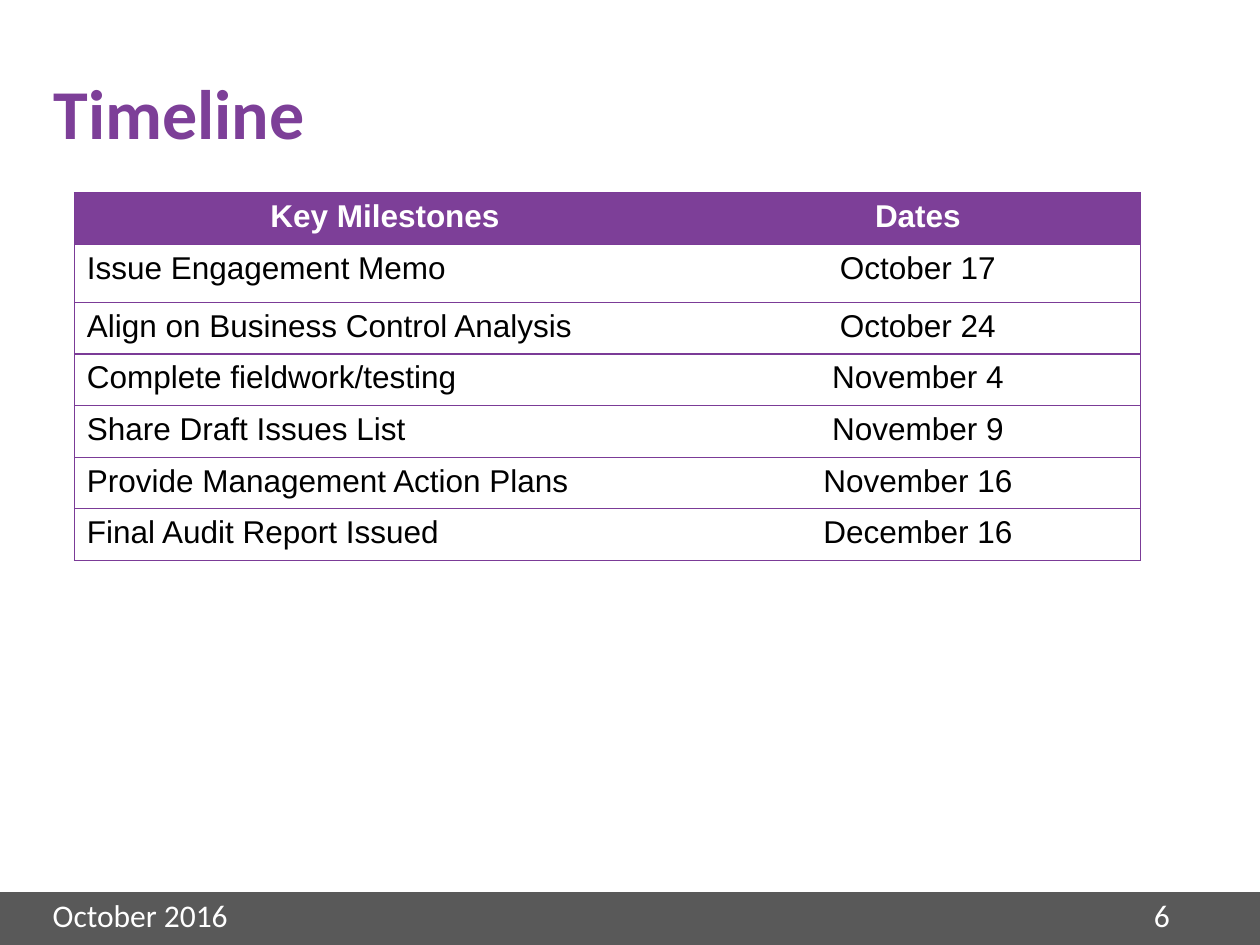
from dataclasses import dataclass
from lxml.etree import SubElement
from pptx import Presentation
from pptx.dml.color import RGBColor as Rgb
from pptx.enum.shapes import MSO_SHAPE as Shape
from pptx.enum.text import MSO_ANCHOR as Anchor, PP_ALIGN as Align
from pptx.oxml.ns import qn
from pptx.util import Inches, Pt


@dataclass(frozen=True)
class Theme:
    purple: str = "7D3F98"
    edge: str = "7B3B97"
    gray: str = "595959"
    white: str = "FFFFFF"
    black: str = "000000"
    head: str = "Calibri"
    body: str = "Arial"
    large: int = 40
    small: int = 18
    line: float = 0.75


@dataclass(frozen=True)
class Label:
    text: str
    box: tuple[float, float, float, float]
    size: int
    color: str
    bold: bool = False
    anchor: Anchor = Anchor.TOP
    space: float = 1.0


@dataclass(frozen=True)
class Step:
    name: str
    date: str


theme = Theme()
labels = [
    Label("Timeline", (0.33, 0.56, 7.73, 0.76), theme.large, theme.purple,
          True, Anchor.MIDDLE, 0.85),
    Label("6", (9.06, 7.06, 0.58, 0.52), theme.small, theme.white),
    Label("October 2016", (0.32, 7.06, 7.67, 0.4), theme.small, theme.white),
]
steps = [
    Step("Key Milestones", "Dates"),
    Step("Issue Engagement Memo", "October 17"),
    Step("Align on Business Control Analysis", "October 24"),
    Step("Complete fieldwork/testing", "November 4"),
    Step("Share Draft Issues List", "November 9"),
    Step("Provide Management Action Plans", "November 16"),
    Step("Final Audit Report Issued", "December 16"),
]
widths = [4.93, 3.53]
heights = [0.41, 0.46] + [0.41] * (len(steps) - 2)


def add_run(para, text: str, font: str, size: int, color: str, bold: bool) -> None:
    run = para.add_run()
    run.text = text
    run.font.name = font
    run.font.size = Pt(size)
    run.font.bold = bold
    run.font.color.rgb = Rgb.from_string(color)


def add_label(slide, label: Label) -> None:
    frame = slide.shapes.add_textbox(*map(Inches, label.box)).text_frame
    frame.word_wrap = True
    frame.vertical_anchor = label.anchor
    para = frame.paragraphs[0]
    para.line_spacing = label.space
    add_run(para, label.text, theme.head, label.size, label.color, label.bold)


def add_bar(slide) -> None:
    bar = slide.shapes.add_shape(
        Shape.RECTANGLE, *map(Inches, (0, 7.08, 10, 0.42)))
    bar.shadow.inherit = False
    bar.fill.solid()
    bar.fill.fore_color.rgb = Rgb.from_string(theme.gray)
    bar.line.fill.background()


def set_edges(cell, shown: str) -> None:
    props = cell._tc.get_or_add_tcPr()
    for side in "LRTB":
        line = SubElement(props, qn(f"a:ln{side}"), w=str(Pt(theme.line)))
        if side in shown:
            fill = SubElement(line, qn("a:solidFill"))
            SubElement(fill, qn("a:srgbClr"), val=theme.edge)
        else:
            SubElement(line, qn("a:noFill"))


def fill_cell(cell, text: str, row: int, col: int) -> None:
    top = row == 0
    set_edges(cell, "TB" + "LR"[col])
    cell.fill.solid()
    cell.fill.fore_color.rgb = Rgb.from_string(theme.purple if top else theme.white)
    para = cell.text_frame.paragraphs[0]
    para.alignment = Align.CENTER if top or col else Align.LEFT
    color = theme.white if top else theme.black
    add_run(para, text, theme.body, theme.small, color, top)


def add_steps(slide) -> None:
    box = (0.59, 1.53, sum(widths), sum(heights))
    table = slide.shapes.add_table(
        len(steps), len(widths), *map(Inches, box)).table
    table.horz_banding = False
    for col, width in zip(table.columns, widths):
        col.width = Inches(width)
    for row, height in zip(table.rows, heights):
        row.height = Inches(height)
    for row, step in enumerate(steps):
        for col, text in enumerate((step.name, step.date)):
            fill_cell(table.cell(row, col), text, row, col)


def main() -> None:
    deck = Presentation()
    deck.slide_width, deck.slide_height = Inches(10), Inches(7.5)
    slide = deck.slides.add_slide(deck.slide_layouts[6])
    add_bar(slide)
    for label in labels:
        add_label(slide, label)
    add_steps(slide)
    deck.save("out.pptx")


main()
